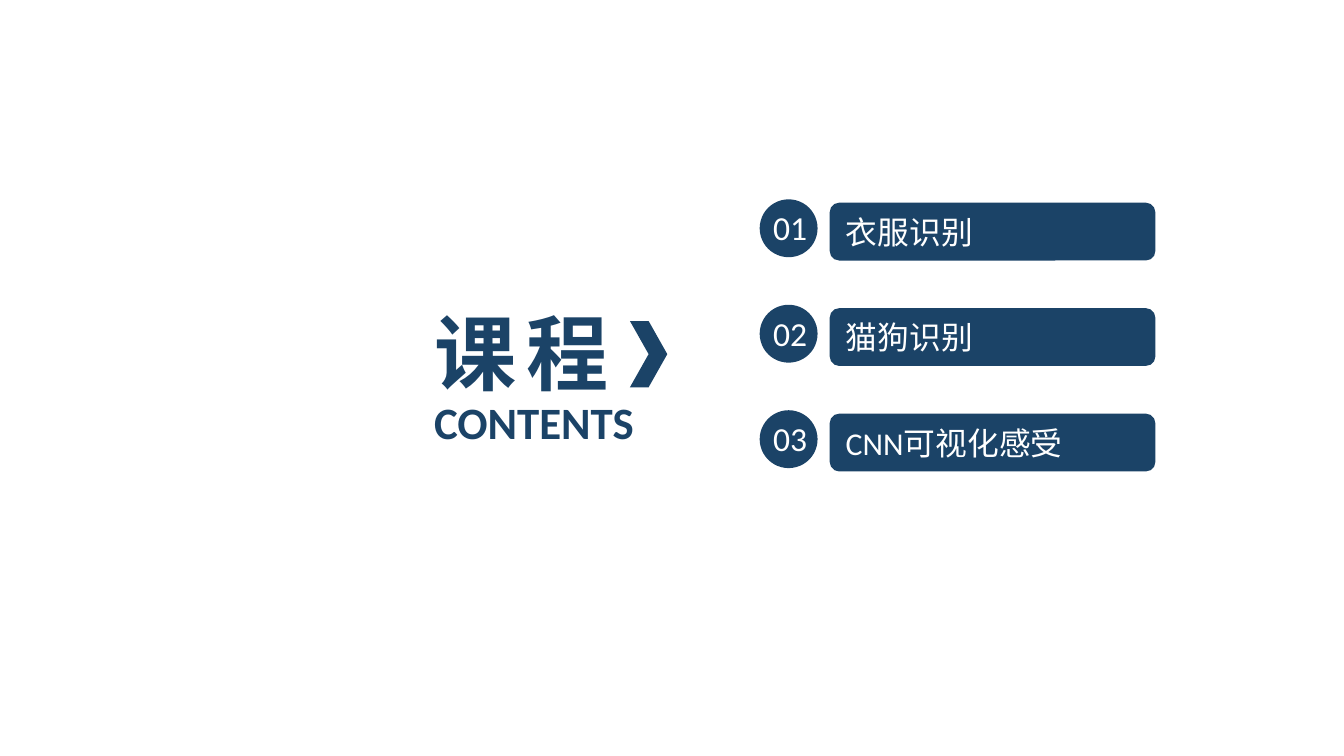
"""Build a course contents slide with three numbered topics."""
from pptx import Presentation
from pptx.dml.color import RGBColor
from pptx.enum.shapes import MSO_SHAPE
from pptx.enum.text import MSO_ANCHOR, MSO_AUTO_SIZE, PP_ALIGN
from pptx.util import Pt

NAVY = RGBColor(0x1B, 0x43, 0x67)
WHITE = RGBColor(0xFF, 0xFF, 0xFF)
ROUNDED, OVAL, CHEVRON = MSO_SHAPE.ROUNDED_RECTANGLE, MSO_SHAPE.OVAL, MSO_SHAPE.CHEVRON
TOP, MIDDLE = MSO_ANCHOR.TOP, MSO_ANCHOR.MIDDLE
LEFT, CENTER = PP_ALIGN.LEFT, PP_ALIGN.CENTER
NO_AUTOFIT = MSO_AUTO_SIZE.NONE

TOPICS = ["衣服识别", "猫狗识别", "CNN可视化感受"]
FIRST_TOP = 108.6
PITCH = 56.5
BADGE_SIZE = 31


def add_navy_shape(shapes, kind, left, top, width, height):
    shape = shapes.add_shape(kind, Pt(left), Pt(top), Pt(width), Pt(height))
    shape.shadow.inherit = False
    shape.fill.solid()
    shape.fill.fore_color.rgb = NAVY
    shape.line.fill.background()
    return shape


def write_text(shape, text, size, color, bold=False, alignment=LEFT, anchor=TOP):
    frame = shape.text_frame
    frame.text = text
    frame.word_wrap = True
    frame.auto_size = NO_AUTOFIT
    frame.vertical_anchor = anchor
    paragraph = frame.paragraphs[0]
    paragraph.alignment = alignment
    paragraph.font.name = "Calibri"
    paragraph.font.size = Pt(size)
    paragraph.font.bold = bold
    paragraph.font.color.rgb = color


presentation = Presentation()
presentation.slide_width = Pt(720)
presentation.slide_height = Pt(405)
slide = presentation.slides.add_slide(presentation.slide_layouts[5])

title = slide.shapes.title
title.left, title.top, title.width, title.height = Pt(225.5), Pt(158.4), Pt(169), Pt(60.5)
write_text(title, "课 程", 44, NAVY, bold=True)
title.text_frame.paragraphs[0].runs[0]._r.get_or_add_rPr().set("spc", "-220")

subtitle = slide.shapes.add_textbox(Pt(225.5), Pt(208), Pt(166), Pt(36))
write_text(subtitle, "CONTENTS", 24, NAVY, bold=True)

add_navy_shape(slide.shapes, CHEVRON, 337.5, 172, 20, 35.5)

for index, topic in enumerate(TOPICS):
    top = FIRST_TOP + index * PITCH
    bar = add_navy_shape(slide.shapes, ROUNDED, 444.5, top, 174.5, BADGE_SIZE)
    write_text(bar, topic, 17, WHITE, anchor=MIDDLE)

    badge = slide.shapes.add_group_shape()
    add_navy_shape(badge.shapes, OVAL, 407, top - 1.8, BADGE_SIZE, BADGE_SIZE)
    number = badge.shapes.add_textbox(Pt(404.5), Pt(top - 1.2), Pt(37.5), Pt(29))
    write_text(number, f"{index + 1:02}", 18, WHITE, alignment=CENTER)

presentation.save("out.pptx")
